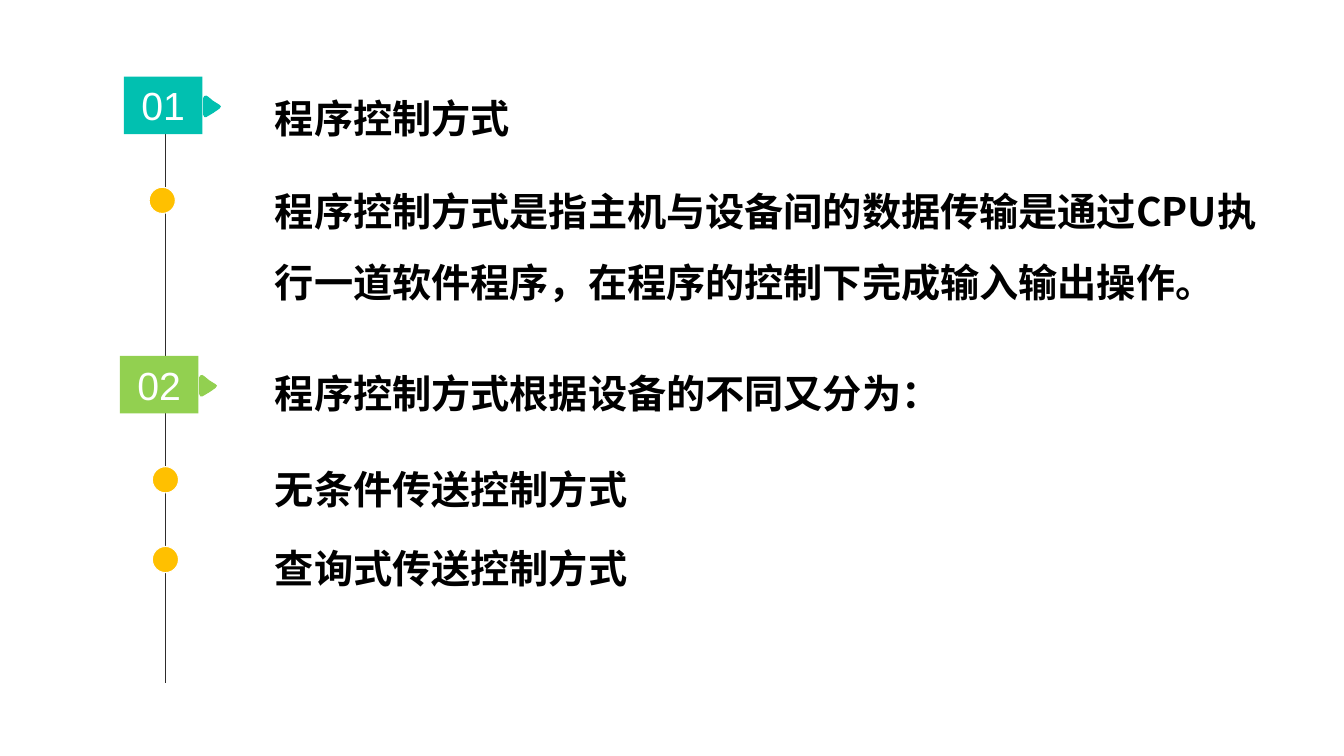
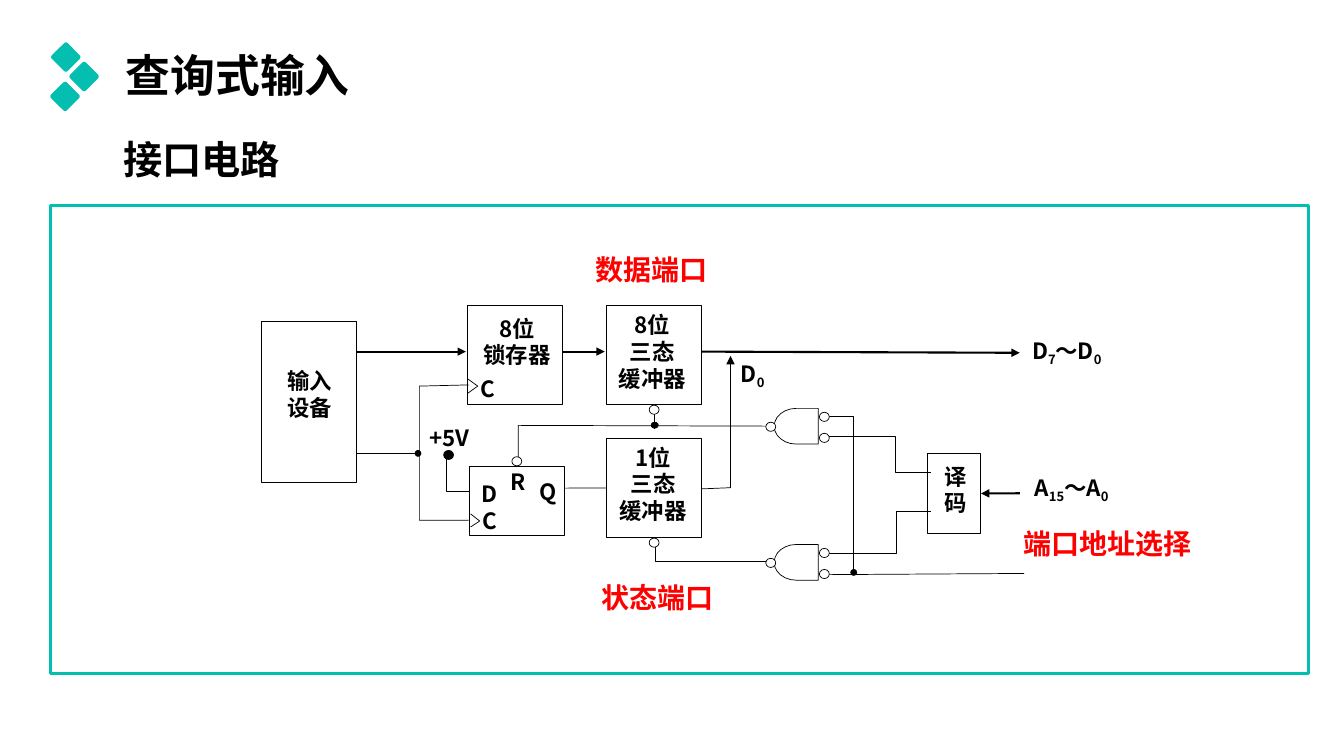
from dataclasses import dataclass
from typing import Any, Optional

from lxml import etree
from pptx import Presentation
from pptx import util as u
from pptx.dml.color import RGBColor
from pptx.enum import shapes, text
from pptx.oxml.ns import qn

TEAL = RGBColor(0x01, 0xC0, 0xB0)
LOGO_TEAL = RGBColor(0x04, 0xBE, 0xB0)
GREEN = RGBColor(0x92, 0xD0, 0x50)
AMBER = RGBColor(0xFF, 0xC0, 0x00)
RED = RGBColor(0xFF, 0x00, 0x00)
BLACK = RGBColor(0x00, 0x00, 0x00)
WHITE = RGBColor(0xFF, 0xFF, 0xFF)
AXIS_GREY = RGBColor(0x2E, 0x2C, 0x2C)

CJK_FONT = "Noto Sans CJK SC"
LATIN_FONT = "Arial"
THIN, THICK = 0.5, 1.5
CENTER, LEFT = text.PP_ALIGN.CENTER, text.PP_ALIGN.LEFT
SHAPE = shapes.MSO_SHAPE
MARGINS = ("margin_left", "margin_right", "margin_top", "margin_bottom")

Point = tuple[float, float]
Area = tuple[float, float, float, float]


@dataclass(frozen=True)
class TextStyle:
    size: float
    color: RGBColor = BLACK
    bold: bool = True
    font: str = CJK_FONT
    align: Any = LEFT
    spacing: float = 1.0
    wrap: bool = True
    inset: Optional[float] = None


@dataclass(frozen=True)
class Label:
    area: Area
    lines: tuple[str, ...]
    style: TextStyle


@dataclass(frozen=True)
class Badge:
    left: float
    top: float
    number: str
    color: RGBColor


@dataclass(frozen=True)
class Wire:
    points: tuple[Point, ...]
    width: float = THIN
    arrow: bool = False
    begin: str = ""
    end: str = ""


BADGE_STYLE = TextStyle(28, WHITE, False, LATIN_FONT, CENTER)
BODY = TextStyle(28, spacing=1.5)
TITLE = TextStyle(32, spacing=0.9)
SUBTITLE = TextStyle(28, spacing=0.9)
PART = TextStyle(16, align=CENTER, inset=0.03)
SIGNAL = TextStyle(16, inset=0.03)
PORT = TextStyle(20, RED, wrap=False)

BADGE_SIZE = (1.98, 1.45)
POINTER = ((0, 0.08), (0.03, 0.03), (0.08, 0.02), (0.13, 0.05), (0.25, 0.15), (0.41, 0.25),
           (0.45, 0.29), (0.41, 0.35), (0.25, 0.46), (0.08, 0.56), (0.03, 0.56), (0, 0.5))
BADGES = (Badge(3.12, 1.93, "01", TEAL), Badge(3.02, 8.97, "02", GREEN))
TIMELINE_DOTS = ((3.76, 4.72), (3.84, 11.76), (3.84, 13.77))
OUTLINE = (
    Label((6.68, 1.65, 9.7, 2.06), ("程序控制方式",), BODY),
    Label((6.68, 4.01, 25.27, 3.84),
          ("程序控制方式是指主机与设备间的数据传输是通过CPU执行一道软件程序，在程序的控制下完成输入输出操作。",), BODY),
    Label((6.68, 8.59, 26.06, 2.06), ("程序控制方式根据设备的不同又分为：",), BODY),
    Label((6.68, 11, 25.27, 2.06), ("无条件传送控制方式",), BODY),
    Label((6.68, 13, 14.5, 2.06), ("查询式传送控制方式",), BODY),
)

DIAMOND_SIDE = 0.56
DIAMOND_CENTERS = ((1.66, 1.44), (2.12, 1.93), (1.64, 2.43))
HEADINGS = (
    Label((2.92, 1.24, 23.29, 1.93), ("查询式输入",), TITLE),
    Label((2.86, 3.43, 30.2, 1.93), ("接口电路",), SUBTITLE),
)
FRAME = (1.27, 5.18, 31.7, 11.79)

UNITS: dict[str, Area] = {
    "device": (6.58, 8.1, 2.39, 4.06),
    "latch": (11.79, 7.7, 2.39, 2.49),
    "data_buffer": (15.29, 7.7, 2.39, 2.49),
    "status_buffer": (15.29, 11.05, 2.39, 2.49),
    "flip_flop": (11.84, 11.76, 2.39, 1.73),
    "decoder": (23.37, 11.43, 1.35, 2.01),
}
WIRES = (
    Wire(((8.99, 8.86), (11.74, 8.86)), THICK, True),
    Wire(((14.2, 8.86), (15.24, 8.86)), THICK, True),
    Wire(((17.68, 8.86), (25.7, 8.89)), THICK, True),
    Wire(((25.7, 12.43), (24.72, 12.43)), THICK, True, end="decoder"),
    Wire(((17.68, 12.32), (18.41, 12.29), (18.41, 8.97)), arrow=True),
    Wire(((14.23, 12.3), (15.29, 12.3)), end="status_buffer"),
    Wire(((8.99, 11.43), (10.57, 11.43))),
    Wire(((11.81, 13.11), (10.57, 13.11), (10.57, 9.73), (11.81, 9.7))),
    Wire(((11.25, 11.51), (11.25, 12.37), (11.84, 12.37))),
    Wire(((11.86, 13.28), (12.09, 13.13), (11.86, 12.95))),
    Wire(((11.79, 9.91), (12.04, 9.73), (11.79, 9.55))),
    Wire(((16.48, 10.8), (16.48, 10.31))),
    Wire(((19.81, 10.74), (13.06, 10.72), (13.06, 11.61))),
    Wire(((19.89, 14.15), (16.51, 14.15), (16.51, 13.59))),
    Wire(((20.85, 10.49), (21.51, 10.49), (21.51, 14.43))),
    Wire(((20.85, 11), (22.56, 11), (22.56, 11.91), (23.47, 11.91))),
    Wire(((20.9, 13.94), (22.58, 13.94), (22.58, 12.88), (23.47, 12.88))),
    Wire(((20.85, 14.48), (25.81, 14.45))),
)
GATE_TOPS = (10.29, 13.72)
GATE_BUBBLES = ((20.65, 0.1), (20.65, 0.63), (19.3, 0.35))
BUBBLE_SIZE = (0.25, 0.23)
BUBBLES = ((16.36, 10.21), (16.36, 13.56), (12.9, 11.51))
JUNCTIONS = ((16.41, 10.64, 0.18, 0.15), (10.46, 11.35, 0.15, 0.15),
             (21.44, 14.35, 0.15, 0.15), (11.18, 11.35, *BUBBLE_SIZE))
CIRCUIT_LABELS = (
    Label((6.35, 9.22, 2.9, 2.82), ("输入", "设备"), PART),
    Label((11.58, 7.9, 2.9, 1.73), ("8位", "锁存器"), PART),
    Label((14.99, 7.82, 2.9, 2.49), ("8位", "三态", "缓冲器"), PART),
    Label((15.01, 11.15, 2.9, 2.49), ("1位", "三态", "缓冲器"), PART),
    Label((23.37, 11.63, 1.42, 1.68), ("译", "码"), PART),
    Label((10.44, 10.67, 1.78, 0.91), ("+5V",), PART),
    Label((12.65, 11.76, 0.84, 0.76), ("R",), PART),
    Label((13.26, 12.01, 1.09, 0.94), ("Q",), PART),
    Label((11.61, 12.07, 1.45, 1.45), ("D", "C"), PART),
    Label((12.09, 9.42, 1.22, 1.17), ("C",), SIGNAL),
    Label((25.53, 11.91, 2.95, 1.27), ("A|15|～A|0",), PART),
    Label((25.98, 8.46, 2.57, 1.32), ("D|7|～D|0",), SIGNAL),
    Label((18.64, 9.04, 1.17, 1.07), ("D|0",), SIGNAL),
    Label((14.76, 6.25, 3.35, 1.35), ("数据端口",), PORT),
    Label((14.91, 14.5, 3.35, 1.35), ("状态端口",), PORT),
    Label((25.55, 13.13, 4.78, 1.35), ("端口地址选择",), PORT),
)


def lengths(values: tuple[float, ...]) -> list[u.Length]:
    return [u.Cm(value) for value in values]


def apply(target: Any, values: dict[str, Any]) -> None:
    for name, value in values.items():
        setattr(target, name, value)


def write(frame: Any, lines: tuple[str, ...], style: TextStyle) -> None:
    frame.word_wrap = style.wrap
    if style.inset is not None:
        apply(frame, dict.fromkeys(MARGINS, u.Cm(style.inset)))
    for index, line in enumerate(lines):
        para = frame.add_paragraph() if index else frame.paragraphs[0]
        apply(para, {"alignment": style.align, "line_spacing": style.spacing})
        for order, part in enumerate(line.split("|")):
            span = para.add_run()
            span.text = part
            apply(span.font, {"size": u.Pt(style.size), "bold": style.bold, "name": style.font})
            span.font.color.rgb = style.color
            properties = span._r.get_or_add_rPr()
            etree.SubElement(properties, qn("a:ea"), typeface=style.font)
            if order % 2:
                properties.set("baseline", "-25000")


def add_label(page: Any, label: Label) -> None:
    box = page.shapes.add_textbox(*lengths(label.area))
    write(box.text_frame, label.lines, label.style)


def paint(shape: Any, fill: Optional[RGBColor], line: Optional[RGBColor], width: float) -> None:
    shape.shadow.inherit = False
    for target, color in ((shape.fill, fill), (shape.line.fill, line)):
        if color is None:
            target.background()
        else:
            target.solid()
            target.fore_color.rgb = color
    if line is not None:
        shape.line.width = u.Pt(width)


def add_shape(page: Any, kind: Any, area: Area, fill: Optional[RGBColor] = None,
              line: Optional[RGBColor] = None, width: float = THIN) -> Any:
    shape = page.shapes.add_shape(kind, *lengths(area))
    paint(shape, fill, line, width)
    return shape


def add_outline(page: Any, points: tuple[Point, ...], close: bool) -> Any:
    start, *rest = [tuple(lengths(point)) for point in points]
    builder = page.shapes.build_freeform(*start, scale=1.0)
    builder.add_line_segments(rest, close=close)
    return builder.convert_to_shape()


def add_line(page: Any, start: Point, end: Point, color: RGBColor, width: float) -> Any:
    line = page.shapes.add_connector(shapes.MSO_CONNECTOR.STRAIGHT, *lengths(start + end))
    line.line.color.rgb = color
    line.line.width = u.Pt(width)
    etree.SubElement(line._element.spPr, qn("a:effectLst"))
    return line


def add_wire(page: Any, wire: Wire, units: dict[str, Any]) -> None:
    if len(wire.points) == 2:
        drawn = add_line(page, *wire.points, BLACK, wire.width)
        if wire.end:
            side = 1 if wire.points[0][0] < wire.points[1][0] else 3
            drawn.end_connect(units[wire.end], side)
    else:
        drawn = add_outline(page, wire.points, False)
        paint(drawn, None, BLACK, wire.width)
    if wire.arrow:
        etree.SubElement(drawn.line._get_or_add_ln(), qn("a:tailEnd"), type="triangle")


def add_badge(page: Any, badge: Badge) -> None:
    width, height = BADGE_SIZE
    left, top = badge.left + width + 0.02, badge.top + 0.46
    pointer = add_outline(page, tuple((left + x, top + y) for x, y in POINTER), True)
    paint(pointer, badge.color, None, 0)
    box = add_shape(page, SHAPE.RECTANGLE, (badge.left, badge.top, width, height), badge.color)
    write(box.text_frame, (badge.number,), BADGE_STYLE)


def build_outline(page: Any) -> None:
    add_line(page, (4.17, 2.62), (4.17, 17.22), AXIS_GREY, 1)
    for left, top in TIMELINE_DOTS:
        add_shape(page, SHAPE.OVAL, (left, top, 0.66, 0.66), AMBER, WHITE, 0)
    for badge in BADGES:
        add_badge(page, badge)
    for label in OUTLINE:
        add_label(page, label)


def build_circuit(page: Any) -> None:
    for x, y in DIAMOND_CENTERS:
        half = DIAMOND_SIDE / 2
        diamond = add_shape(page, SHAPE.ROUNDED_RECTANGLE,
                            (x - half, y - half, DIAMOND_SIDE, DIAMOND_SIDE), LOGO_TEAL)
        diamond.adjustments[0] = 0.11
        diamond.rotation = 45
    add_shape(page, SHAPE.RECTANGLE, FRAME, line=TEAL, width=2.25)
    units = {name: add_shape(page, SHAPE.RECTANGLE, area, line=BLACK)
             for name, area in UNITS.items()}
    for wire in WIRES:
        add_wire(page, wire, units)
    bubbles = list(BUBBLES)
    for top in GATE_TOPS:
        gate = add_shape(page, SHAPE.FLOWCHART_DELAY, (19.51, top, 1.11, 0.9), WHITE, BLACK)
        gate.rotation = 180
        bubbles += [(left, top + drop) for left, drop in GATE_BUBBLES]
    for bubble in bubbles:
        add_shape(page, SHAPE.OVAL, bubble + BUBBLE_SIZE, WHITE, BLACK)
    for junction in JUNCTIONS:
        add_shape(page, SHAPE.OVAL, junction, BLACK, BLACK)
    for label in HEADINGS + CIRCUIT_LABELS:
        add_label(page, label)


def main() -> None:
    deck = Presentation()
    apply(deck, {"slide_width": u.Cm(33.87), "slide_height": u.Cm(19.05)})
    for build in (build_outline, build_circuit):
        build(deck.slides.add_slide(deck.slide_layouts[6]))
    deck.save("out.pptx")


if __name__ == "__main__":
    main()
